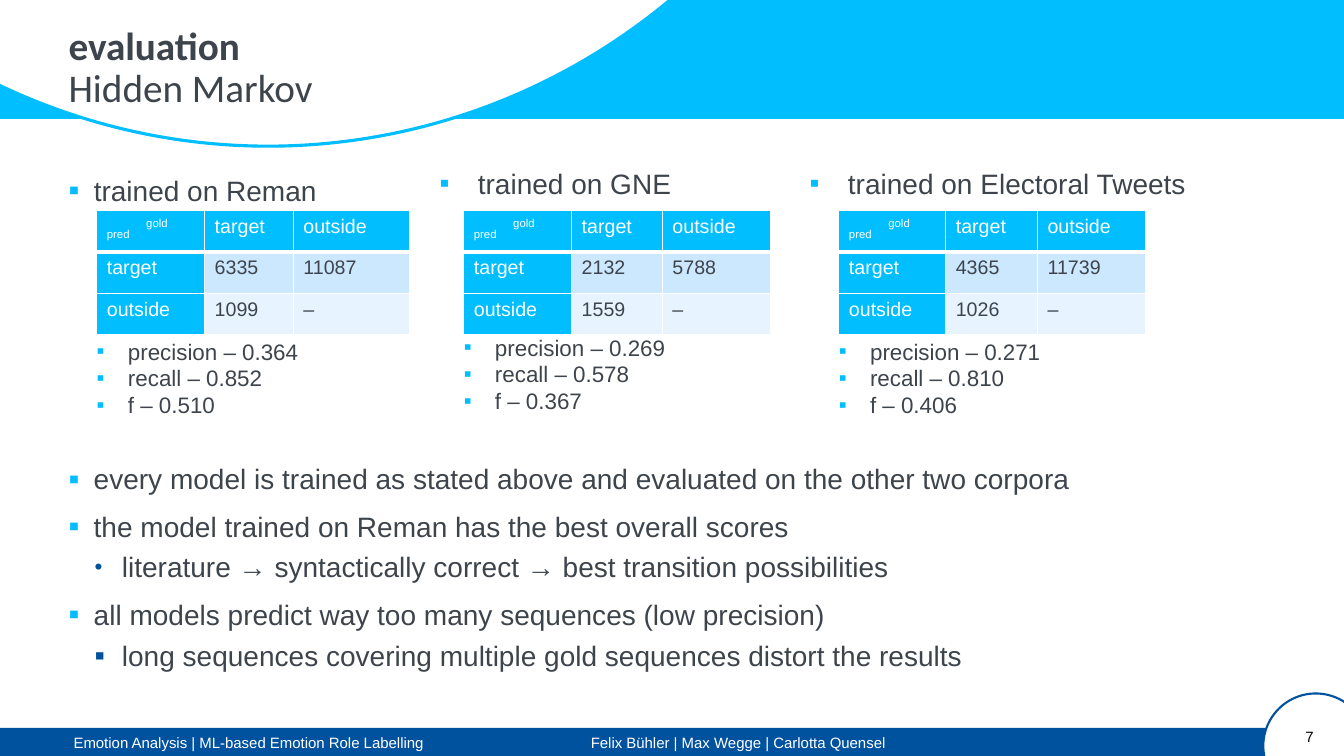
from lxml import etree
from pptx import Presentation
from pptx.dml.color import RGBColor
from pptx.enum.shapes import MSO_SHAPE
from pptx.enum.text import MSO_ANCHOR, PP_ALIGN
from pptx.oxml.ns import qn
from pptx.util import Inches, Pt

RECT, OVAL = MSO_SHAPE.RECTANGLE, MSO_SHAPE.OVAL
LEFT, RIGHT = PP_ALIGN.LEFT, PP_ALIGN.RIGHT
TOP = MSO_ANCHOR.TOP

COLORS = {
    "sky": "00BEFF", "navy": "00519E", "text": "3E444C", "white": "FFFFFF",
    "black": "000000", "band": "CCE8FF", "pale": "E7F4FF",
}
TITLE, SUBTITLE = "evaluation", "Hidden Markov"
FOOTERS = [
    ("Emotion Analysis | ML-based Emotion Role Labelling", 0.73, 4.2),
    ("Felix Bühler | Max Wegge | Carlotta Quensel", 5.86, 3.6),
]
PAGE = "7"
MODELS = [
    {"heading": "trained on Reman", "heading_box": (0.68, 1.65, 3.25, 0.4),
     "indent": 0.25, "spacing": 1.2, "size": 110,
     "counts": [("6335", "11087"), ("1099", "–")],
     "left": 0.96, "columns": (1.07, 0.88, 1.15), "scores_top": 3.35,
     "scores": ("0.364", "0.852", "0.510")},
    {"heading": "trained on GNE", "heading_box": (4.36, 1.65, 3.96, 0.34),
     "indent": 0.38, "spacing": 1.0, "size": 100,
     "counts": [("2132", "5788"), ("1559", "–")],
     "left": 4.6, "columns": (1.07, 0.9, 1.07), "scores_top": 3.31,
     "scores": ("0.269", "0.578", "0.367")},
    {"heading": "trained on Electoral Tweets", "heading_box": (8.03, 1.65, 4.21, 0.34),
     "indent": 0.38, "spacing": 1.0, "size": 100,
     "counts": [("4365", "11739"), ("1026", "–")],
     "left": 8.32, "columns": (1.06, 0.91, 1.07), "scores_top": 3.35,
     "scores": ("0.271", "0.810", "0.406")},
]
CLASSES = ("target", "outside")
MEASURES = ("precision", "recall", "f")
TABLE_TOP, ROW_HEIGHT = 2.09, 0.41
FINDINGS = [
    (0, "▪", 110, "every model is trained as stated above and evaluated on the other two corpora"),
    (0, "▪", 110, "the model trained on Reman has the best overall scores"),
    (1, "•", 80, "literature → syntactically correct → best transition possibilities"),
    (0, "▪", 110, "all models predict way too many sequences (low precision)"),
    (1, "▪", 105, "long sequences covering multiple gold sequences distort the results"),
]
LEVELS = [
    {"margin": 0.25, "hanging": 0.25, "before": 10, "color": "sky"},
    {"margin": 0.53, "hanging": 0.27, "before": 5, "color": "navy"},
]

prs = Presentation()
prs.slide_width, prs.slide_height = Inches(13.33), Inches(7.5)
slide = prs.slides.add_slide(prs.slide_layouts[5])
shapes = slide.shapes


def rgb(color):
    return RGBColor.from_string(COLORS[color])


def add_plain_shape(kind, box, fill, line=None, width=0):
    shape = shapes.add_shape(kind, *map(Inches, box))
    shape.shadow.inherit = False
    shape.fill.solid()
    shape.fill.fore_color.rgb = rgb(fill)
    if line:
        shape.line.color.rgb = rgb(line)
        shape.line.width = Pt(width)
    else:
        shape.line.fill.background()


def clear_frame(frame):
    frame.word_wrap = True
    frame.vertical_anchor = TOP
    frame.margin_left = frame.margin_right = 0
    frame.margin_top = frame.margin_bottom = 0
    return frame


def add_frame(box):
    return clear_frame(shapes.add_textbox(*map(Inches, box)).text_frame)


def add_run(paragraph, text, size, color="text", font="Arial", bold=False):
    run = paragraph.add_run()
    run.text = text
    run.font.name, run.font.size, run.font.bold = font, Pt(size), bold
    run.font.color.rgb = rgb(color)
    return run


def child(parent, tag, **attributes):
    return etree.SubElement(parent, qn(tag), attributes)


def add_bullet(paragraph, mark, margin, hanging, color="sky", size=100):
    props = paragraph._p.get_or_add_pPr()
    props.set("marL", str(Inches(margin)))
    props.set("indent", str(-Inches(hanging)))
    child(child(props, "a:buClr"), "a:srgbClr", val=COLORS[color])
    child(props, "a:buSzPct", val=str(size * 1000))
    child(props, "a:buFont", typeface="Arial")
    child(props, "a:buChar", char=mark)


def next_paragraph(frame, index):
    return frame.add_paragraph() if index else frame.paragraphs[0]


def set_borders(cell, row):
    props = cell._tc.get_or_add_tcPr()
    widths = {"a:lnL": 1, "a:lnR": 1, "a:lnT": 3 if row == 1 else 1, "a:lnB": 1 if row else 3}
    for place, (tag, width) in enumerate(widths.items()):
        border = etree.Element(qn(tag), w=str(Pt(width)))
        child(child(border, "a:solidFill"), "a:srgbClr", val=COLORS["white"])
        props.insert(place, border)


def add_corner(paragraph):
    tabs = child(paragraph._p.get_or_add_pPr(), "a:tabLst")
    child(tabs, "a:tab", pos=str(Inches(0.39)), algn="l")
    for text, offset in (("pred\t", -25000), ("gold", 30000)):
        run = add_run(paragraph, text, 14, "white")
        run.font._element.set("baseline", str(offset))


def add_confusion_table(model):
    rows = [("", *CLASSES)] + [(name, *counts) for name, counts in zip(CLASSES, model["counts"])]
    box = (model["left"], TABLE_TOP, sum(model["columns"]), ROW_HEIGHT * len(rows))
    table = shapes.add_table(len(rows), 3, *map(Inches, box)).table
    table.first_row = table.horz_banding = False
    for column, width in zip(table.columns, model["columns"]):
        column.width = Inches(width)
    for r, values in enumerate(rows):
        table.rows[r].height = Inches(ROW_HEIGHT)
        for c, value in enumerate(values):
            cell = table.cell(r, c)
            is_label = r == 0 or c == 0
            cell.fill.solid()
            cell.fill.fore_color.rgb = rgb("sky" if is_label else ("band", "pale")[r - 1])
            set_borders(cell, r)
            paragraph = cell.text_frame.paragraphs[0]
            if value:
                add_run(paragraph, value, 14, "white" if is_label else "text")
            else:
                add_corner(paragraph)


add_plain_shape(RECT, (0, 0, 13.33, 1.18), "sky")
add_plain_shape(OVAL, (-3.64, -11.41, 12.6, 12.86), "white", "sky", 2.25)
add_plain_shape(RECT, (0, 7.22, 13.33, 0.28), "navy")
add_plain_shape(OVAL, (12.53, 6.88, 1.04, 1.04), "white", "navy", 1.5)

title = shapes.title
shapes._spTree.append(title._element)
title.left, title.top, title.width, title.height = map(Inches, (0.68, 0.26, 12.02, 0.85))
heading = clear_frame(title.text_frame).paragraphs[0]
heading.alignment, heading.line_spacing = LEFT, 0.9
add_run(heading, TITLE, 28, font="Calibri", bold=True)
heading.add_line_break()
add_run(heading, SUBTITLE, 28, font="Calibri")

for text, left, width in FOOTERS:
    add_run(add_frame((left, 7.28, width, 0.18)).paragraphs[0], text, 10.7, "white")
page = add_frame((12.7, 7.22, 0.33, 0.18)).paragraphs[0]
page.alignment = RIGHT
add_run(page, PAGE, 10.7, "black")

for model in MODELS:
    paragraph = add_frame(model["heading_box"]).paragraphs[0]
    paragraph.line_spacing = model["spacing"]
    add_bullet(paragraph, "▪", model["indent"], model["indent"], size=model["size"])
    add_run(paragraph, model["heading"], 20)
    add_confusion_table(model)
    scores = add_frame((model["left"], model["scores_top"], sum(model["columns"]), 0.81))
    for i, (measure, score) in enumerate(zip(MEASURES, model["scores"])):
        paragraph = next_paragraph(scores, i)
        add_bullet(paragraph, "▪", 0.31, 0.31)
        add_run(paragraph, f"{measure} – {score}", 16)

findings = add_frame((0.68, 4.58, 10.67, 2.39))
for i, (depth, mark, size, text) in enumerate(FINDINGS):
    level = LEVELS[depth]
    paragraph = next_paragraph(findings, i)
    paragraph.level = depth
    paragraph.space_before = Pt(level["before"])
    add_bullet(paragraph, mark, level["margin"], level["hanging"], level["color"], size)
    add_run(paragraph, text, 20)

prs.save("out.pptx")
